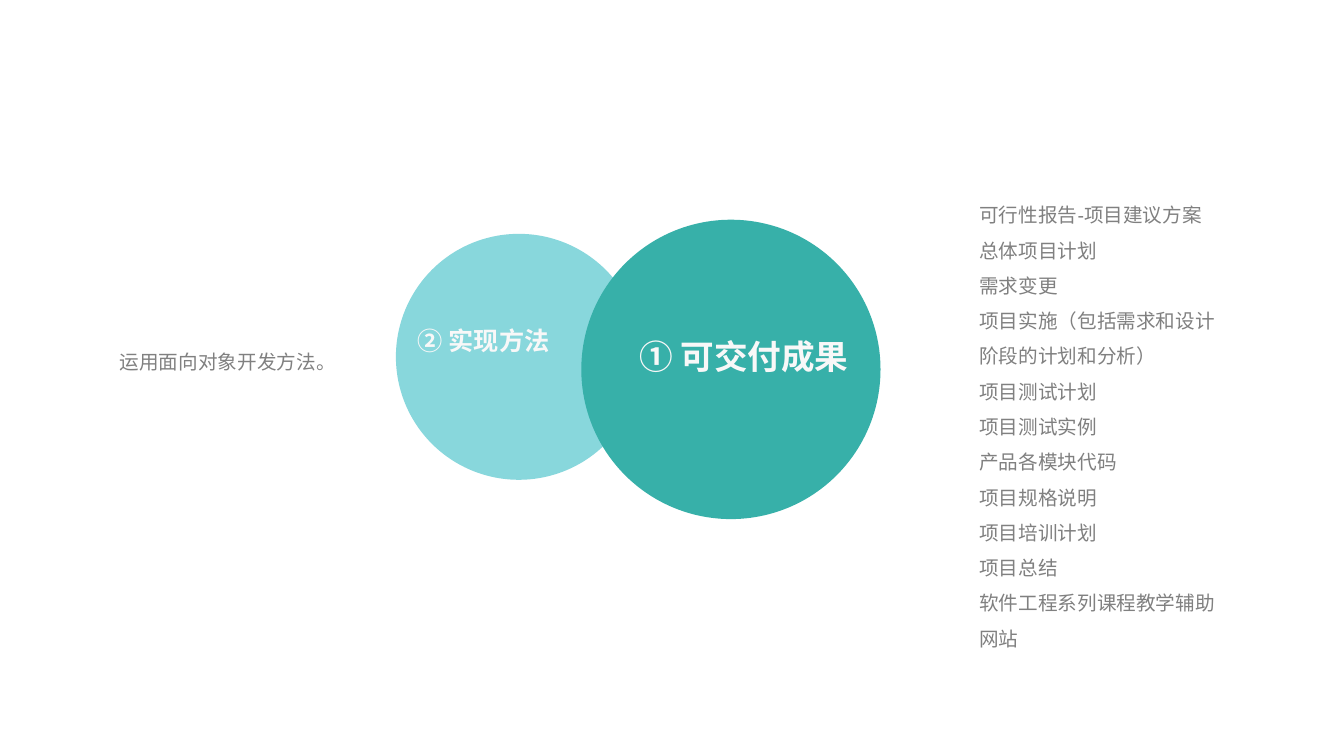
from lxml.etree import SubElement
from pptx import Presentation
from pptx.dml.color import RGBColor
from pptx.enum.shapes import MSO_SHAPE
from pptx.enum.text import MSO_ANCHOR, MSO_AUTO_SIZE, PP_ALIGN
from pptx.oxml.ns import qn
from pptx.util import Inches, Pt

CJK_FONT = "Noto Sans CJK SC"
GREY, OFF_WHITE = "808080", "F8F8F8"
LIGHT_TEAL, TEAL = "88D7DC", "37B0A9"

DELIVERABLES = [
    "可行性报告-项目建议方案",
    "总体项目计划",
    "需求变更",
    "项目实施（包括需求和设计阶段的计划和分析）",
    "项目测试计划",
    "项目测试实例",
    "产品各模块代码",
    "项目规格说明",
    "项目培训计划",
    "项目总结",
    "软件工程系列课程教学辅助网站",
]


def color(hex_value):
    return RGBColor.from_string(hex_value)


def write_text(shape, lines, *, size=14, font="Arial", fill=GREY, bold=False,
               align=PP_ALIGN.LEFT, spacing=1.0):
    """Fill a shape with one unbulleted paragraph per line."""
    frame = shape.text_frame
    frame.word_wrap = True
    frame.auto_size = MSO_AUTO_SIZE.NONE
    frame.vertical_anchor = MSO_ANCHOR.TOP
    for index, line in enumerate(lines):
        paragraph = frame.paragraphs[0] if index == 0 else frame.add_paragraph()
        paragraph.alignment = align
        paragraph.line_spacing = spacing
        paragraph.space_before = Pt(0)
        properties = paragraph._p.get_or_add_pPr()
        properties.set("marL", "0")
        properties.set("indent", "0")
        SubElement(properties, qn("a:buNone"))
        run = paragraph.add_run()
        run.text = line
        run.font.size = Pt(size)
        run.font.bold = bold
        run.font.color.rgb = color(fill)
        run.font.name = font
        SubElement(run.font._element, qn("a:ea"), typeface=CJK_FONT)


def add_text(slide, text, left, top, width, height, **text_format):
    box = slide.shapes.add_textbox(
        Inches(left), Inches(top), Inches(width), Inches(height))
    write_text(box, [text], **text_format)


def add_circle(slide, left, top, diameter, fill):
    circle = slide.shapes.add_shape(
        MSO_SHAPE.OVAL, Inches(left), Inches(top),
        Inches(diameter), Inches(diameter))
    circle.shadow.inherit = False
    circle.fill.solid()
    circle.fill.fore_color.rgb = color(fill)
    circle.line.fill.background()


def place_list(slide, lines, left, top, width, height, **text_format):
    body = slide.placeholders[1]
    body.left, body.top = Inches(left), Inches(top)
    body.width, body.height = Inches(width), Inches(height)
    write_text(body, lines, **text_format)


def main():
    presentation = Presentation()
    presentation.slide_width = Inches(13.34)
    presentation.slide_height = Inches(7.5)
    slide = presentation.slides.add_slide(presentation.slide_layouts[1])

    # This slide has no title
    title = slide.shapes.title._element
    title.getparent().remove(title)

    # Explanations beside the circles
    add_text(slide, "运用面向对象开发方法。", 1.09, 3.31, 2.75, 0.45, spacing=1.5)
    place_list(slide, DELIVERABLES, 9.62, 1.85, 2.64, 4.65, spacing=1.5)

    # Overlapping circles
    add_circle(slide, 3.93, 2.32, 2.44, LIGHT_TEAL)
    add_circle(slide, 5.77, 2.18, 2.97, TEAL)

    # Circle labels
    label = {"font": CJK_FONT, "fill": OFF_WHITE, "bold": True}
    add_text(slide, "② 实现方法", 4.05, 3.18, 2.2, 0.4, size=18, **label)
    add_text(slide, "① 可交付成果", 5.55, 3.28, 2.97, 0.5, size=24,
             align=PP_ALIGN.RIGHT, **label)

    presentation.save("out.pptx")


if __name__ == "__main__":
    main()
